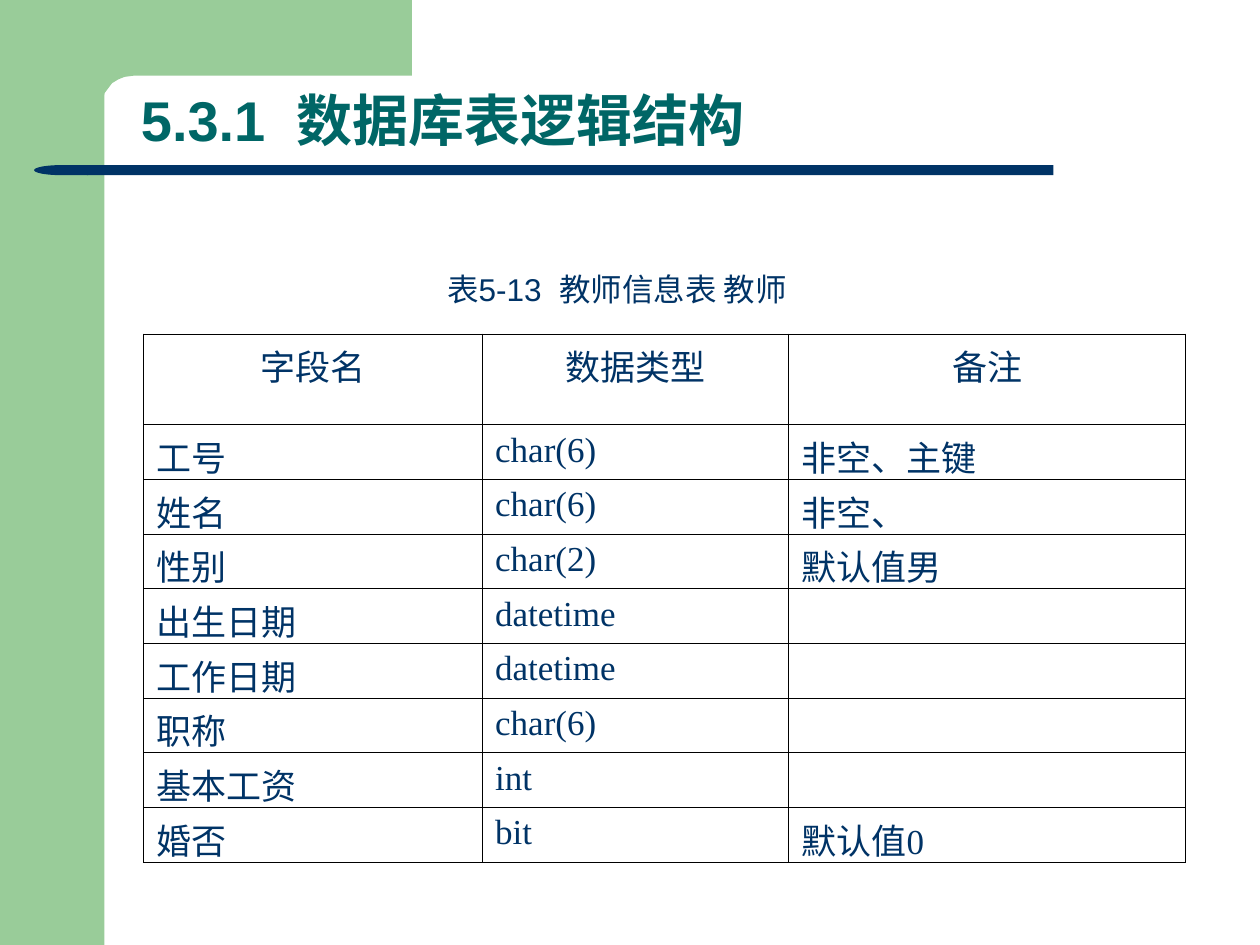
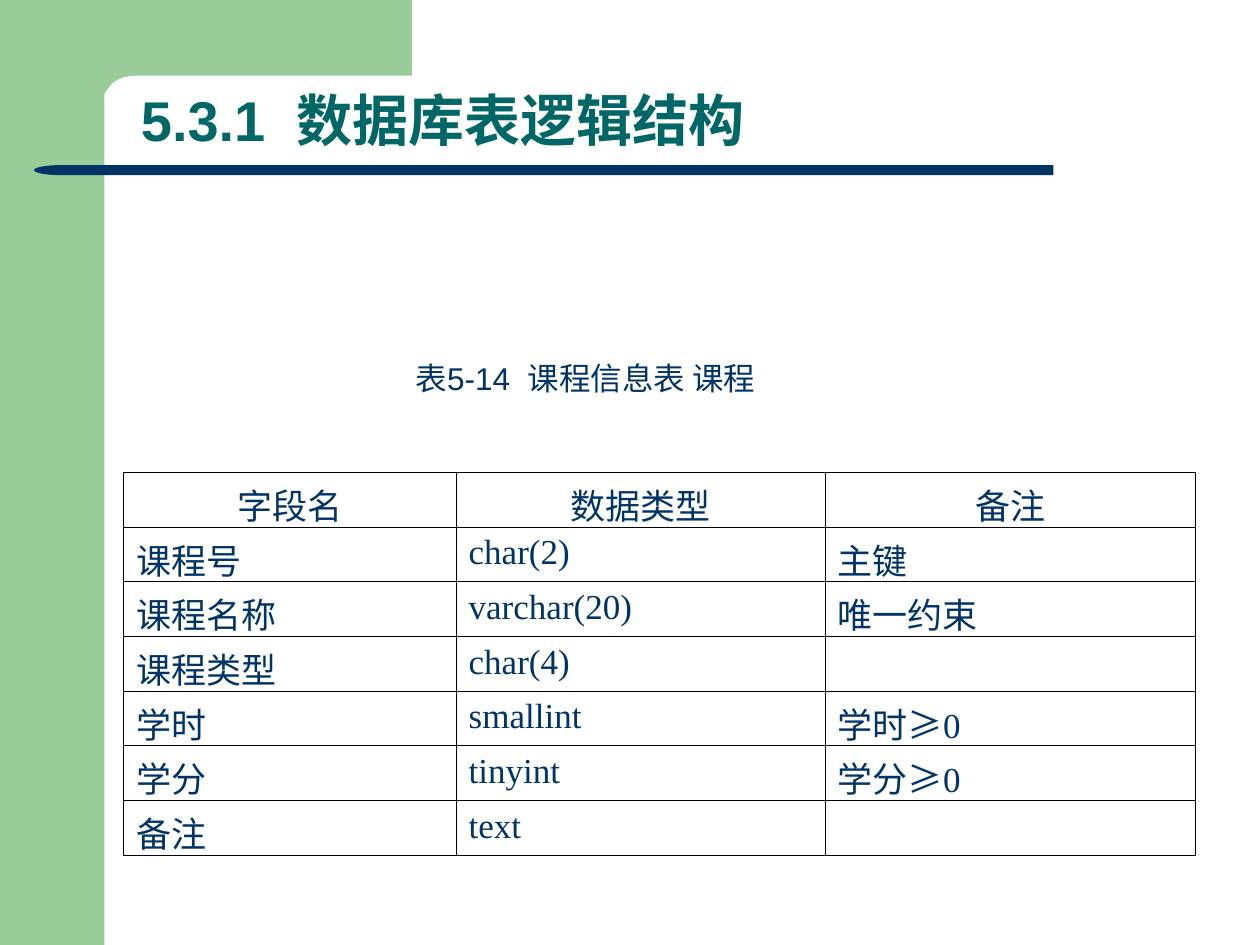
from pptx import Presentation, oxml
from pptx import util as u
from pptx.dml.color import RGBColor
from pptx.enum import shapes, text
from pptx.oxml.ns import nsdecls

PX = u.Inches(1) // 100
GREEN, NAVY, TEAL, BLACK = "99CC99", "003366", "006666", "000000"
SANS, SERIF = "Arial", "Times New Roman"
TITLE = "5.3.1  数据库表逻辑结构"
HEADER = ("字段名", "数据类型", "备注")
ROW_H = 43
CORNER = [(327, 0), (327, 60), (107, 60), (99, 61), (94, 63), (89, 66),
          (86, 70), (83, 74), (82, 78), (81, 83), (81, 91), (50, 91), (50, 0)]

TEACHER_ROWS = [
    ("工号", "char(6)", "非空、主键"),
    ("姓名", "char(6)", "非空、"),
    ("性别", "char(2)", "默认值男"),
    ("出生日期", "datetime", ""),
    ("工作日期", "datetime", ""),
    ("职称", "char(6)", ""),
    ("基本工资", "int", ""),
    ("婚否", "bit", "默认值0"),
]
COURSE_ROWS = [
    ("课程号", "char(2)", "主键"),
    ("课程名称", "varchar(20)", "唯一约束"),
    ("课程类型", "char(4)", ""),
    ("学时", "smallint", "学时≥0"),
    ("学分", "tinyint", "学分≥0"),
    ("备注", "text", ""),
]


def px(*lengths):
    return [u.Emu(n * PX) for n in lengths]


def rgb(color):
    return RGBColor.from_string(color)


def paint(sp, color):
    sp.shadow.inherit = False
    sp.fill.solid()
    sp.fill.fore_color.rgb = rgb(color)
    sp.line.fill.background()
    return sp


def add_block(s, kind, box, color):
    return paint(s.shapes.add_shape(kind, *px(*box)), color)


def write(tf, content, size, color, font=SANS, bold=False, align=text.PP_ALIGN.LEFT):
    tf.text = content
    p = tf.paragraphs[0]
    p.alignment = align
    for f in [p.font] + [r.font for r in p.runs]:
        f.size, f.name, f.bold = u.Pt(size), font, bold
        f.color.rgb = rgb(color)
    return p


def add_text(s, box, content, size, color, anchor, bold=False):
    tf = s.shapes.add_textbox(*px(*box)).text_frame
    tf.word_wrap = True
    tf.vertical_anchor = anchor
    tf.margin_right = 0
    return write(tf, content, size, color, bold=bold)


def add_frame(s):
    kinds = shapes.MSO_SHAPE
    add_block(s, kinds.RECTANGLE, (0, 0, 83, 750), GREEN)
    fb = s.shapes.build_freeform(*CORNER[0], scale=PX)
    fb.add_line_segments(CORNER[1:], close=True)
    paint(fb.convert_to_shape(), GREEN)
    add_block(s, kinds.RECTANGLE, (69, 131, 767, 8), NAVY)
    add_block(s, kinds.FLOWCHART_DELAY, (27, 131, 43, 8), NAVY).rotation = 180
    p = add_text(s, (102, 72, 819, 55), TITLE, 32, TEAL, text.MSO_ANCHOR.BOTTOM, True)
    p.line_spacing = 0.9


def add_borders(cell):
    tc_pr = cell._tc.get_or_add_tcPr()
    for i, side in enumerate("LRTB"):
        tc_pr.insert(i, oxml.parse_xml(
            f'<a:ln{side} {nsdecls("a")} w="{u.Pt(0.45)}"><a:solidFill>'
            f'<a:srgbClr val="{BLACK}"/></a:solidFill></a:ln{side}>'))


def add_field_table(s, left, top, widths, rows, header_h):
    heights = [header_h] + [ROW_H] * len(rows)
    box = px(left, top, sum(widths), sum(heights))
    tbl = s.shapes.add_table(len(heights), len(widths), *box).table
    tbl.first_row = tbl.horz_banding = False
    for col, w in zip(tbl.columns, px(*widths)):
        col.width = w
    for row, h in zip(tbl.rows, px(*heights)):
        row.height = h
    for i, values in enumerate([HEADER] + rows):
        font, align = (SERIF, text.PP_ALIGN.LEFT) if i else (SANS, text.PP_ALIGN.CENTER)
        for j, value in enumerate(values):
            cell = tbl.cell(i, j)
            cell.fill.background()
            add_borders(cell)
            write(cell.text_frame, value, 20, NAVY, font, align=align)


def add_table_slide(prs, caption, caption_box, left, top, widths, rows, header_h=ROW_H):
    s = prs.slides.add_slide(prs.slide_layouts[6])
    add_frame(s)
    add_text(s, caption_box, caption, 18, NAVY, text.MSO_ANCHOR.MIDDLE)
    add_field_table(s, left, top, widths, rows, header_h)


def main():
    prs = Presentation()
    prs.slide_width, prs.slide_height = px(1000, 750)
    add_table_slide(prs, "表5-13  教师信息表 教师", (345, 209, 301, 40),
                    114, 265, (269, 243, 315), TEACHER_ROWS, header_h=72)
    add_table_slide(prs, "表5-14  课程信息表 课程", (320, 280, 325, 40),
                    98, 375, (264, 293, 294), COURSE_ROWS)
    prs.save("out.pptx")


if __name__ == "__main__":
    main()
